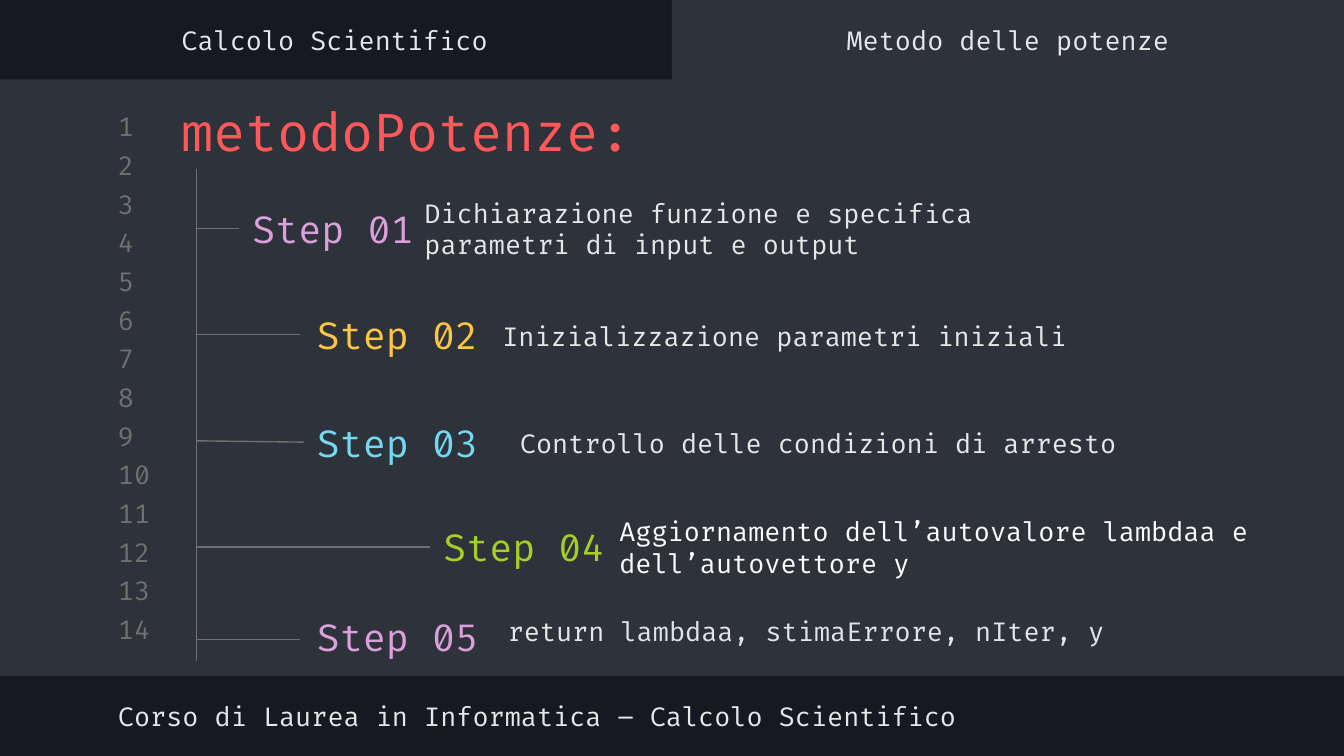
import pptx
import pptx.dml.color
import pptx.enum.shapes
import pptx.enum.text
import pptx.oxml.ns
import pptx.util
from lxml import etree
from pptx.util import Inches

RGBColor = pptx.dml.color.RGBColor
ANCHOR = pptx.enum.text.MSO_ANCHOR
ALIGN = pptx.enum.text.PP_ALIGN

INK = RGBColor(0x16, 0x19, 0x1F)
PANEL = RGBColor(0x2E, 0x32, 0x3B)
GREY = RGBColor(0x70, 0x70, 0x70)
LIGHT = RGBColor(0xE7, 0xE7, 0xE7)
CODE = RGBColor(0xE1, 0xE4, 0xE8)
WHITE = RGBColor(0xFF, 0xFF, 0xFF)
RED = RGBColor(0xFF, 0x58, 0x58)
PINK = RGBColor(0xDB, 0xA0, 0xDB)
YELLOW = RGBColor(0xFC, 0xC6, 0x42)
CYAN = RGBColor(0x72, 0xD9, 0xF0)
GREEN = RGBColor(0xA5, 0xCF, 0x27)

FONT = "Fira Code"
INSET = 0.1
LINE_COUNT = 14
FIRST_LINE_TOP, LAST_LINE_TOP = 0.82, 4.56
LINE_PITCH = (LAST_LINE_TOP - FIRST_LINE_TOP) / (LINE_COUNT - 1)
TRUNK_X = 1.46

# label, colour, label left and top, branch end x, branch start and end y
STEPS = [
    ("Step 01", PINK, 1.78, 1.38, 1.78, 1.7, 1.7),
    ("Step 02", YELLOW, 2.26, 2.17, 2.23, 2.49, 2.49),
    ("Step 03", CYAN, 2.26, 2.97, 2.26, 3.28, 3.29),
    ("Step 04", GREEN, 3.2, 3.75, 3.2, 4.07, 4.07),
    ("Step 05", PINK, 2.26, 4.42, 2.23, 4.76, 4.76),
]

# text, colour, box
DESCRIPTIONS = [
    ("Dichiarazione funzione e specifica parametri di input e output",
     LIGHT, (3.06, 1.38, 4.35, 0.64)),
    ("Inizializzazione parametri iniziali", LIGHT, (3.64, 2.18, 4.96, 0.64)),
    ("Controllo delle condizioni di arresto", LIGHT, (3.77, 2.9, 5.78, 0.79)),
    ("Aggiornamento dell’autovalore lambdaa e dell’autovettore y",
     WHITE, (4.51, 3.75, 5.21, 0.64)),
]


def add_panel(slide, left, top, width, height):
    panel = slide.shapes.add_shape(
        pptx.enum.shapes.MSO_SHAPE.RECTANGLE,
        Inches(left), Inches(top), Inches(width), Inches(height))
    panel.shadow.inherit = False
    panel.fill.solid()
    panel.fill.fore_color.rgb = PANEL
    panel.line.fill.background()


def add_text(slide, box, runs, size=14, anchor=ANCHOR.MIDDLE,
             align=ALIGN.LEFT, top_inset=INSET):
    """Add one paragraph made of (text, colour) runs."""
    frame = slide.shapes.add_textbox(*[Inches(v) for v in box]).text_frame
    frame.word_wrap = True
    frame.vertical_anchor = anchor
    frame.margin_left = frame.margin_right = Inches(INSET)
    frame.margin_top = Inches(top_inset)
    frame.margin_bottom = Inches(INSET)
    paragraph = frame.paragraphs[0]
    paragraph.alignment = align
    for text, colour in runs:
        run = paragraph.add_run()
        run.text = text
        run.font.name = FONT
        run.font.size = pptx.util.Pt(size)
        run.font.color.rgb = colour


def add_line(slide, x1, y1, x2, y2):
    line = slide.shapes.add_connector(
        pptx.enum.shapes.MSO_CONNECTOR.STRAIGHT,
        Inches(x1), Inches(y1), Inches(x2), Inches(y2))
    line.line.color.rgb = GREY
    line.line.width = pptx.util.Pt(0.75)
    properties = line._element.spPr
    etree.SubElement(properties, pptx.oxml.ns.qn("a:effectLst"))


def add_editor_frame(slide):
    """Panels, line numbers, tab titles and the bottom bar."""
    add_panel(slide, 0, 0.59, 10, 4.44)
    add_panel(slide, 5, 0, 5, 0.65)
    for index in range(LINE_COUNT):
        add_text(slide, (0.78, FIRST_LINE_TOP + index * LINE_PITCH, 0.47, 0.24),
                 [(str(index + 1), GREY)])
    for left, tab in ((-0.01, "Calcolo Scientifico"),
                      (5, "Metodo delle potenze")):
        add_text(slide, (left, 0.1, 5, 0.39), [(tab, LIGHT)],
                 align=ALIGN.CENTER)
    add_text(slide, (0.78, 5.13, 6.74, 0.39),
             [("Corso di Laurea in Informatica – Calcolo Scientifico", LIGHT)])


def add_step_tree(slide):
    add_line(slide, TRUNK_X, 1.26, TRUNK_X, 4.92)
    for label, colour, left, top, end_x, start_y, end_y in STEPS:
        add_line(slide, TRUNK_X, start_y, end_x, end_y)
        add_text(slide, (left, top, 1.42, 0.64), [(label, colour)], size=20)
    for text, colour, box in DESCRIPTIONS:
        add_text(slide, box, [(text, colour)])
    add_text(slide, (3.68, 4.56, 4.7, 0.5),
             [("return ", LIGHT), ("lambdaa, stimaErrore, nIter, y", CODE)],
             anchor=ANCHOR.TOP, top_inset=0.02)


def main():
    deck = pptx.Presentation()
    deck.slide_width = Inches(10)
    deck.slide_height = deck.slide_width * 9 // 16
    slide = deck.slides.add_slide(deck.slide_layouts[6])
    slide.background.fill.solid()
    slide.background.fill.fore_color.rgb = INK
    add_editor_frame(slide)
    add_text(slide, (1.25, 0.64, 7.97, 0.59), [("metodoPotenze:", RED)],
             size=28, anchor=ANCHOR.TOP)
    add_step_tree(slide)
    deck.save("out.pptx")


if __name__ == "__main__":
    main()
